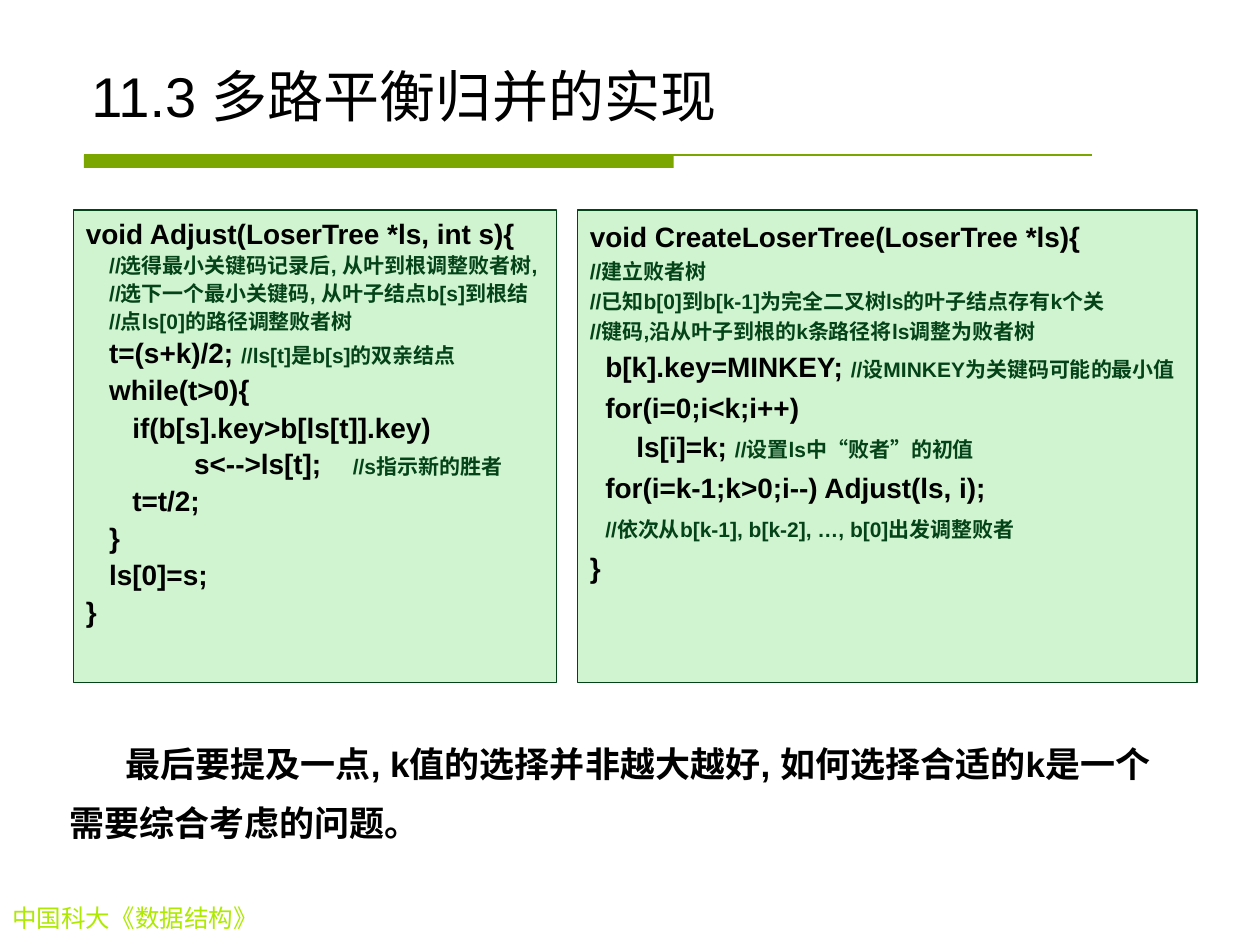
from lxml.etree import SubElement
from pptx import Presentation
from pptx.dml.color import RGBColor
from pptx.enum.shapes import MSO_CONNECTOR, MSO_SHAPE
from pptx.enum.text import MSO_ANCHOR, PP_ALIGN
from pptx.oxml.ns import qn
from pptx.util import Pt

COLORS = {
    "black": "000000",
    "comment": "034317",
    "panel": "8AE28A",
    "rule": "7BA600",
    "footer": "ADEA00",
}

ADJUST_CODE = [
    ("void Adjust(LoserTree *ls, int s){", ""),
    ("", "    //选得最小关键码记录后, 从叶到根调整败者树,"),
    ("", "    //选下一个最小关键码, 从叶子结点b[s]到根结"),
    ("", "    //点ls[0]的路径调整败者树"),
    ("   t=(s+k)/2; ", "//ls[t]是b[s]的双亲结点"),
    ("   while(t>0){", ""),
    ("      if(b[s].key>b[ls[t]].key)", ""),
    ("              s<-->ls[t];    ", "//s指示新的胜者"),
    ("      t=t/2;", ""),
    ("   }", ""),
    ("   ls[0]=s;", ""),
    ("}", ""),
]

CREATE_CODE = [
    ("void CreateLoserTree(LoserTree *ls){", ""),
    ("", "//建立败者树"),
    ("", "//已知b[0]到b[k-1]为完全二叉树ls的叶子结点存有k个关"),
    ("", "//键码,沿从叶子到根的k条路径将ls调整为败者树"),
    ("  b[k].key=MINKEY; ", "//设MINKEY为关键码可能的最小值"),
    ("  for(i=0;i<k;i++)", ""),
    ("      ls[i]=k; ", "//设置ls中“败者”的初值"),
    ("  for(i=k-1;k>0;i--) Adjust(ls, i);", ""),
    ("  ", "//依次从b[k-1], b[k-2], …, b[0]出发调整败者"),
    ("}", ""),
]

CLOSING_LINES = [
    "最后要提及一点, k值的选择并非越大越好, 如何选择合适的k是一个",
    "需要综合考虑的问题。",
]


def color(name):
    """Return the named colour."""
    return RGBColor.from_string(COLORS[name])


def set_font(font, size, color_name, bold=False, name="Arial"):
    """Format a paragraph or run font."""
    font.name = name
    font.size = Pt(size)
    font.bold = bold
    font.color.rgb = color(color_name)


def set_indent(paragraph, left, first):
    """Set the left margin and first-line indent of a paragraph."""
    properties = paragraph._p.get_or_add_pPr()
    properties.set("marL", str(Pt(left)))
    properties.set("indent", str(Pt(first)))


def add_title(slide, left, top, width, height):
    """Place and format the title placeholder."""
    title = slide.shapes.title
    title.left, title.top = Pt(left), Pt(top)
    title.width, title.height = Pt(width), Pt(height)
    title.text_frame.text = "11.3 多路平衡归并的实现"
    title.text_frame.vertical_anchor = MSO_ANCHOR.BOTTOM
    paragraph = title.text_frame.paragraphs[0]
    paragraph.alignment = PP_ALIGN.LEFT
    set_font(paragraph.font, 32, "black")


def add_title_rule(slide, left, top, width, height):
    """Draw the thick bar and the thin line below the title."""
    bar = slide.shapes.add_shape(
        MSO_SHAPE.RECTANGLE, Pt(left), Pt(top), Pt(width * 0.585), Pt(height))
    bar.shadow.inherit = False
    bar.fill.solid()
    bar.fill.fore_color.rgb = color("rule")
    bar.line.fill.background()
    line = slide.shapes.add_connector(
        MSO_CONNECTOR.STRAIGHT, Pt(left), Pt(top), Pt(left + width), Pt(top))
    line.line.color.rgb = color("rule")
    line.line.width = Pt(0.75)
    SubElement(line._element.spPr, qn("a:effectLst"))


def add_code_panel(slide, left, top, width, height, code_lines, line_spacing):
    """Draw a translucent panel with code and its comments."""
    panel = slide.shapes.add_shape(
        MSO_SHAPE.RECTANGLE, Pt(left), Pt(top), Pt(width), Pt(height))
    panel.shadow.inherit = False
    panel.fill.solid()
    panel.fill.fore_color.rgb = color("panel")
    fill_color = panel._element.spPr.find(qn("a:solidFill"))[0]
    SubElement(fill_color, qn("a:alpha")).set("val", "40000")
    panel.line.color.rgb = color("comment")
    panel.line.width = Pt(0.75)
    frame = panel.text_frame
    frame.word_wrap = True
    frame.vertical_anchor = MSO_ANCHOR.TOP
    for index, (code, comment) in enumerate(code_lines):
        paragraph = frame.add_paragraph() if index else frame.paragraphs[0]
        paragraph.alignment = PP_ALIGN.LEFT
        paragraph.line_spacing = line_spacing
        if index:
            paragraph.space_before = Pt(1.5 if comment else 2)
        set_indent(paragraph, 27, -27)
        for text, size, color_name in (
                (code, 16, "black"), (comment, 12, "comment")):
            if text:
                run = paragraph.add_run()
                run.text = text
                set_font(run.font, size, color_name, bold=True)


def add_closing(slide, left, top, width, height):
    """Write the closing remark below the panels."""
    box = slide.shapes.add_textbox(Pt(left), Pt(top), Pt(width), Pt(height))
    frame = box.text_frame
    frame.word_wrap = False
    for index, text in enumerate(CLOSING_LINES):
        paragraph = frame.add_paragraph() if index else frame.paragraphs[0]
        paragraph.text = text
        paragraph.alignment = PP_ALIGN.LEFT
        paragraph.line_spacing = 1.2
        if index:
            paragraph.space_before = Pt(5)
        else:
            set_indent(paragraph, 0, 32)
        set_font(paragraph.font, 20, "black", bold=True)


def add_footer(slide, left, top, width, height):
    """Write the course name in the bottom corner."""
    box = slide.shapes.add_textbox(Pt(left), Pt(top), Pt(width), Pt(height))
    box.text_frame.word_wrap = True
    paragraph = box.text_frame.paragraphs[0]
    paragraph.text = "中国科大《数据结构》"
    set_font(paragraph.font, 14, "footer", name="Times New Roman")


def main():
    """Build and save the slide."""
    presentation = Presentation()
    presentation.slide_width, presentation.slide_height = Pt(720), Pt(540)
    slide = presentation.slides.add_slide(presentation.slide_layouts[5])
    add_title_rule(slide, 48, 88.5, 576, 7.5)
    add_footer(slide, 0, 512.5, 224, 24.5)
    add_title(slide, 45, 24, 630, 53)
    add_code_panel(slide, 42, 120, 276, 270, ADJUST_CODE, 1.0)
    add_code_panel(slide, 330, 120, 354, 270, CREATE_CODE, 1.1)
    add_closing(slide, 32.5, 416, 660, 70)
    presentation.save("out.pptx")


if __name__ == "__main__":
    main()
